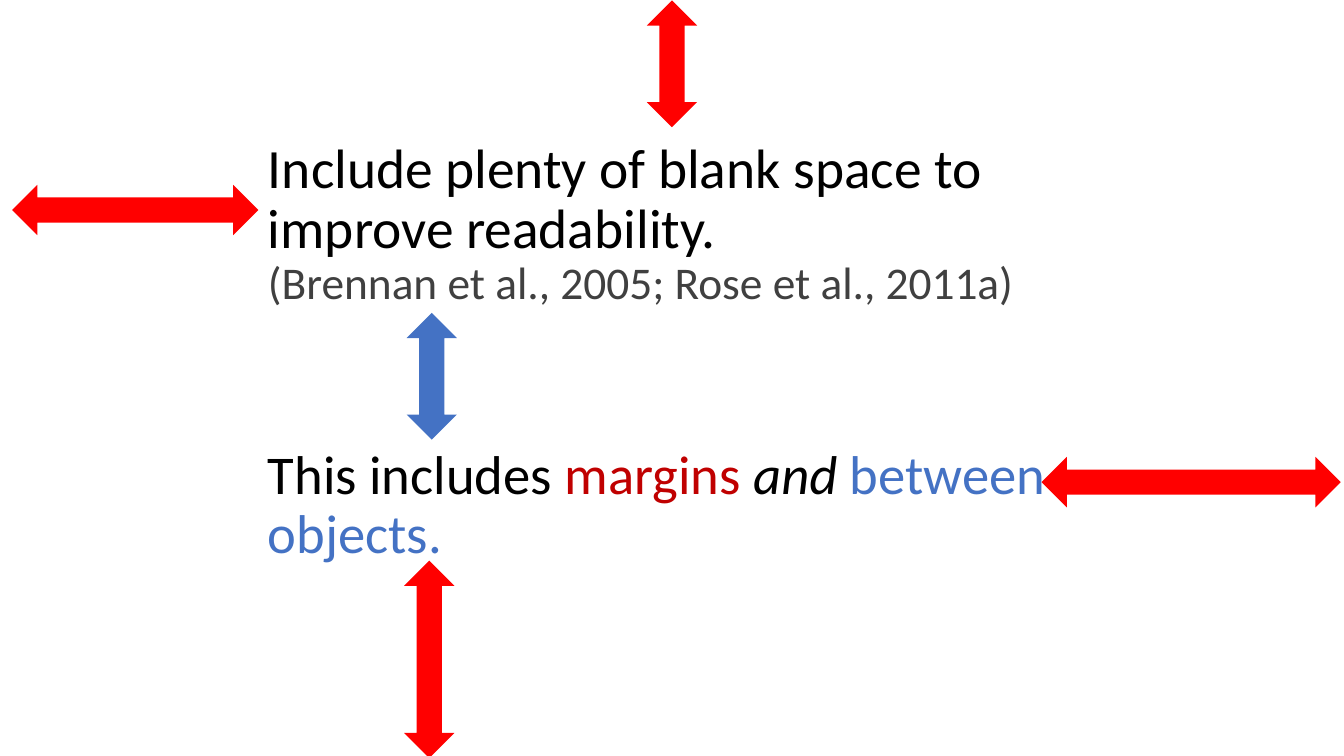
import pptx
import pptx.dml.color
import pptx.enum.shapes
import pptx.enum.text
import pptx.util

RGBColor = pptx.dml.color.RGBColor
BLACK = RGBColor(0x00, 0x00, 0x00)
GREY = RGBColor(0x40, 0x40, 0x40)
RED = RGBColor(0xFF, 0x00, 0x00)
DARK_RED = RGBColor(0xC0, 0x00, 0x00)
BLUE = RGBColor(0x44, 0x72, 0xC4)

COLUMNS, ROWS = 16, 9


class SpacingSlide:
    font = "Calibri"
    arrow_width = 0.6

    def __init__(self, prs):
        self.cell_w = prs.slide_width / COLUMNS
        self.cell_h = prs.slide_height / ROWS
        self.s = prs.slides.add_slide(prs.slide_layouts[5])

    def box(self, col, row, cols, rows):
        return [
            pptx.util.Emu(round(n * unit))
            for n, unit in zip((col, row, cols, rows), (self.cell_w, self.cell_h) * 2)
        ]

    def fill_text(self, sp, lines):
        tf = sp.text_frame
        frame = {
            "word_wrap": True,
            "auto_size": pptx.enum.text.MSO_AUTO_SIZE.NONE,
            "vertical_anchor": pptx.enum.text.MSO_ANCHOR.MIDDLE,
        }
        for name, value in frame.items():
            setattr(tf, name, value)
        p = tf.paragraphs[0]
        p.alignment = pptx.enum.text.PP_ALIGN.LEFT
        p.line_spacing = 0.9
        for i, line in enumerate(lines):
            if i:
                p.add_line_break()
            for text, size, color, italic in line:
                r = p.add_run()
                r.text = text
                style = {"name": self.font, "size": pptx.util.Pt(size), "italic": italic}
                for name, value in style.items():
                    setattr(r.font, name, value)
                r.font.color.rgb = color

    def title(self, place, lines):
        sp = self.s.shapes.title
        sp.left, sp.top, sp.width, sp.height = self.box(*place)
        self.fill_text(sp, lines)

    def text(self, place, lines):
        self.fill_text(self.s.shapes.add_textbox(*self.box(*place)), lines)

    def arrow(self, center_col, center_row, length, rotation, color):
        place = self.box(
            center_col - self.arrow_width / 2,
            center_row - length / 2,
            self.arrow_width,
            length,
        )
        sp = self.s.shapes.add_shape(
            pptx.enum.shapes.MSO_SHAPE.UP_DOWN_ARROW, *place
        )
        sp.rotation = rotation
        sp.shadow.inherit = False
        sp.fill.solid()
        sp.fill.fore_color.rgb = color
        sp.line.fill.background()


def main():
    prs = pptx.Presentation()
    prs.slide_width = pptx.util.Inches(13.33)
    prs.slide_height = pptx.util.Inches(7.5)

    slide = SpacingSlide(prs)
    slide.title((3.07, 1.81, 10.46, 1.74), [
        [("Include plenty of blank space to improve readability.", 39.6, BLACK, False)],
        [("(Brennan et al., 2005; Rose et al., 2011a)", 32.4, GREY, False)],
    ])
    slide.text((3.07, 5.16, 10.46, 1.74), [[
        ("This includes ", 39, BLACK, False),
        ("margins ", 39, DARK_RED, False),
        ("and ", 39, BLACK, True),
        ("between objects.", 39, BLUE, False),
    ]])

    arrows = [
        (8, 0.76, 1.51, 0, RED),
        (5.14, 4.48, 1.51, 0, BLUE),
        (1.61, 2.5, 2.93, 90, RED),
        (14.18, 5.74, 3.56, 90, RED),
        (5.11, 7.85, 2.35, 180, RED),
    ]
    for arrow in arrows:
        slide.arrow(*arrow)

    prs.save("out.pptx")


if __name__ == "__main__":
    main()
